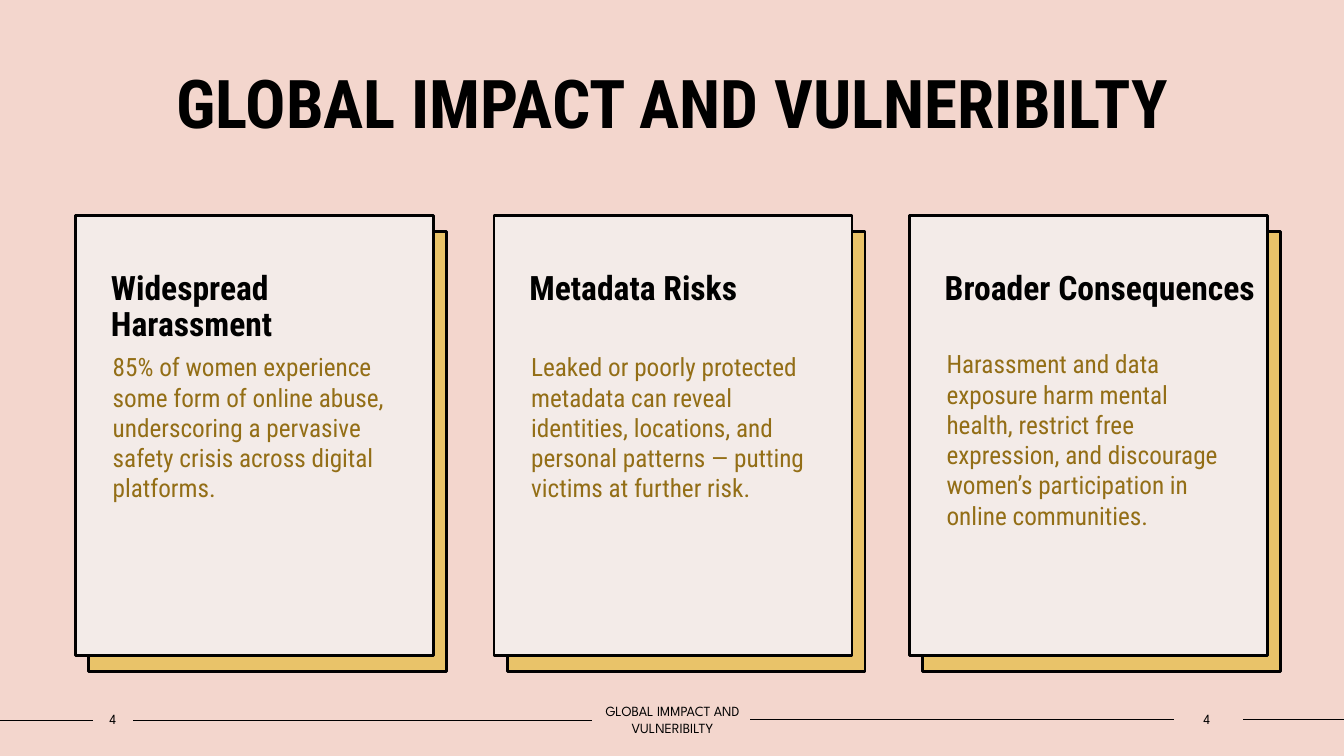
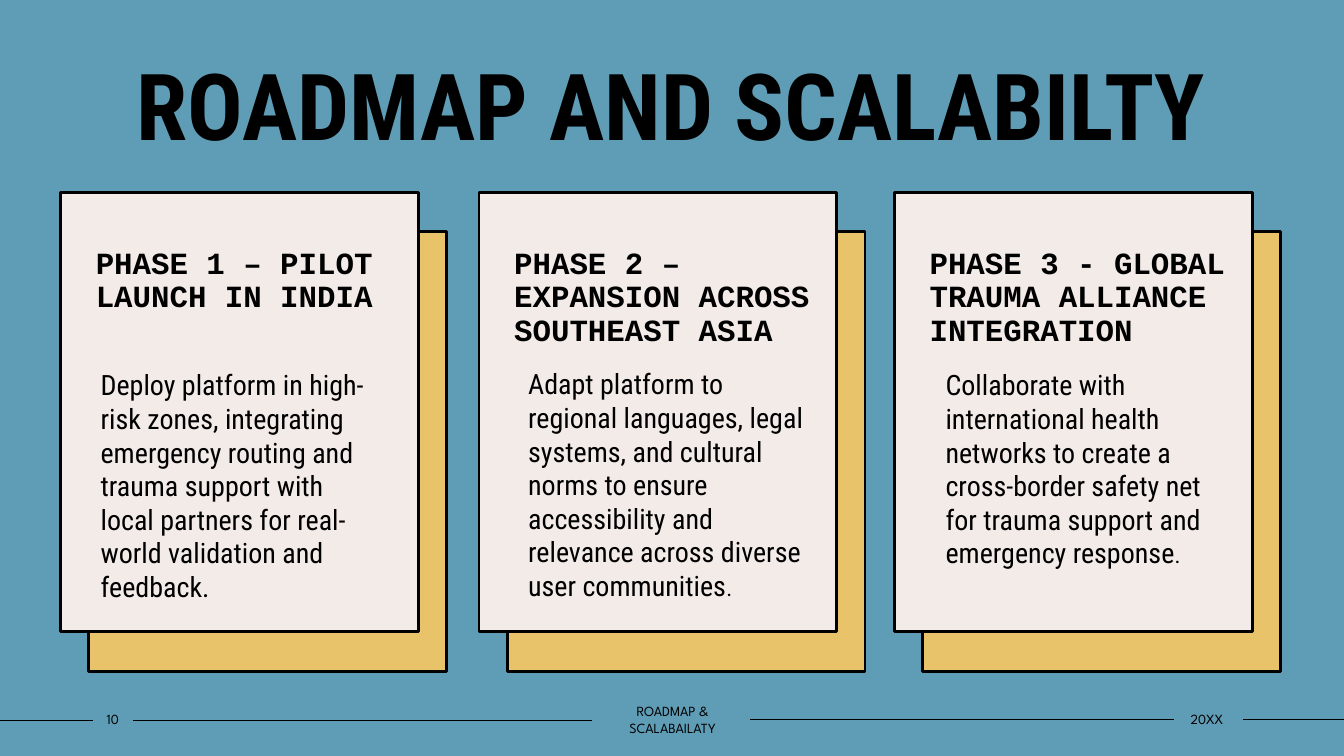
import pptx
import pptx.util
import pptx.dml.color
import pptx.enum.shapes
import pptx.enum.text
from lxml import etree

Inches, Pt = pptx.util.Inches, pptx.util.Pt
ALIGN, ANCHOR = pptx.enum.text.PP_ALIGN, pptx.enum.text.MSO_ANCHOR

COLORS = {"ink": "000000", "card": "F3EBE8", "gold": "E9C369",
          "ochre": "936E16", "pink": "F3D6CD", "blue": "5F9DB6"}
SANS, MONO, FOOT = "Roboto Condensed", "Courier New", "League Spartan"

CARD_W, CARD_H = 3.55, 4.36
BACK_LEFTS, BACK_TOP = (0.88, 5.03, 9.15), 2.3
FOOTER_LINES = [(0, 0.92, 7.15), (1.32, 5.87, 7.15),
                (7.44, 11.64, 7.14), (12.33, 13.33, 7.14)]
FOOTER_BOXES = [(0.92, 0.4), (5.87, 1.6), (11.62, 0.7)]

SLIDES = [
    {"bg": "pink", "title": "GLOBAL IMPACT AND VULNERIBILTY",
     "title_at": (1.25, 0.56), "title_size": 48,
     "shift": (0.13, 0.16), "head": (SANS, 24), "body": (18, "ochre"),
     "footer": ["4", "GLOBAL IMMPACT AND VULNERIBILTY", "4"],
     "cards": [
         ("Widespread Harassment", 0.27, 3.44,
          ["85% of women experience some form of online abuse, "
           "underscoring a pervasive safety crisis across digital platforms."]),
         ("Metadata Risks", 0.27, 3.44,
          ["Leaked or poorly protected metadata can reveal identities, "
           "locations, and personal patterns — putting victims at further risk."]),
         ("Broader Consequences", 0.27, 3.41,
          ["Harassment and data exposure harm mental health, restrict free "
           "expression, and discourage women’s participation in online "
           "communities."])]},
    {"bg": "blue", "title": "ROADMAP AND SCALABILTY",
     "title_at": (1.24, 0.43), "title_size": 66,
     "shift": (0.28, 0.39), "head": (MONO, 22), "body": (20, "ink"),
     "footer": ["10", "ROADMAP & SCALABAILATY", "20XX"],
     "cards": [
         ("PHASE 1 – PILOT LAUNCH IN INDIA", 0.3, 3.6,
          ["Deploy platform in high-risk zones, integrating emergency routing "
           "and trauma support with local partners for real-world validation "
           "and feedback."]),
         ("PHASE 2 – EXPANSION ACROSS SOUTHEAST ASIA", 0.39, 3.59,
          ["Adapt platform to regional languages, legal systems, and cultural "
           "norms to ensure accessibility and relevance across diverse user "
           "communities", (".", 16)]),
         ("PHASE 3 - GLOBAL TRAUMA ALLIANCE INTEGRATION", 0.41, 3.6,
          ["Collaborate with international health networks to create a "
           "cross-border safety net for trauma support and emergency response",
           (".", 16)])]},
]


def rgb(name):
    return pptx.dml.color.RGBColor.from_string(COLORS[name])


def write(sp, runs, font, size, color="ink", bold=False, align=ALIGN.LEFT,
          anchor=ANCHOR.TOP, insets=(0.1, 0.05, 0.1, 0.05), spacing=1.0):
    tf = sp.text_frame
    tf.word_wrap = True
    tf.vertical_anchor = anchor
    tf.margin_left, tf.margin_top, tf.margin_right, tf.margin_bottom = map(Inches, insets)
    p = tf.paragraphs[0]
    p.alignment, p.line_spacing = align, spacing
    for run in runs:
        text, run_size = run if isinstance(run, tuple) else (run, size)
        r = p.add_run()
        r.text = text
        r.font.name, r.font.size, r.font.bold = font, Pt(run_size), bold
        r.font.color.rgb = rgb(color)


def textbox(s, *box):
    return s.shapes.add_textbox(*map(Inches, box))


def card(s, left, top, fill):
    sp = s.shapes.add_shape(pptx.enum.shapes.MSO_SHAPE.RECTANGLE,
                            *map(Inches, (left, top, CARD_W, CARD_H)))
    sp.shadow.inherit = False
    sp.fill.solid()
    sp.fill.fore_color.rgb = rgb(fill)
    sp.line.color.rgb = rgb("ink")
    sp.line.width = Pt(2)
    return sp


def footer_line(s, x1, x2, y):
    line = s.shapes.add_connector(pptx.enum.shapes.MSO_CONNECTOR.STRAIGHT,
                                  *map(Inches, (x1, y, x2, y)))
    line.line.color.rgb = rgb("ink")
    line.line.width = Pt(1)
    etree.SubElement(line._element.spPr, pptx.oxml.ns.qn("a:effectLst"))


def build(prs, data):
    s = prs.slides.add_slide(prs.slide_layouts[6])
    s.background.fill.solid()
    s.background.fill.fore_color.rgb = rgb(data["bg"])
    for span in FOOTER_LINES:
        footer_line(s, *span)
    for left in BACK_LEFTS:
        card(s, left, BACK_TOP, "gold")

    write(textbox(s, *data["title_at"], 10.84, 1.11), [data["title"]], SANS,
          data["title_size"], bold=True, align=ALIGN.CENTER)

    dx, dy = data["shift"]
    body_size, body_color = data["body"]
    for back_left, (head, indent, body_top, body) in zip(BACK_LEFTS, data["cards"]):
        left = back_left - dx
        write(card(s, left, BACK_TOP - dy, "card"), [head], *data["head"],
              bold=True, insets=(0.35, 0.55, 0.1, 0.05), spacing=0.9)
        write(textbox(s, left + indent, body_top, 3, 3.05), body, SANS,
              body_size, body_color)

    for (left, width), text in zip(FOOTER_BOXES, data["footer"]):
        write(textbox(s, left, 7, width, 0.27), [text], FOOT, 10,
              align=ALIGN.CENTER, anchor=ANCHOR.MIDDLE, insets=(0, 0.05, 0, 0.05))


def main():
    prs = pptx.Presentation()
    prs.slide_width, prs.slide_height = Inches(13.33), Inches(7.5)
    for data in SLIDES:
        build(prs, data)
    prs.save("out.pptx")


if __name__ == "__main__":
    main()
